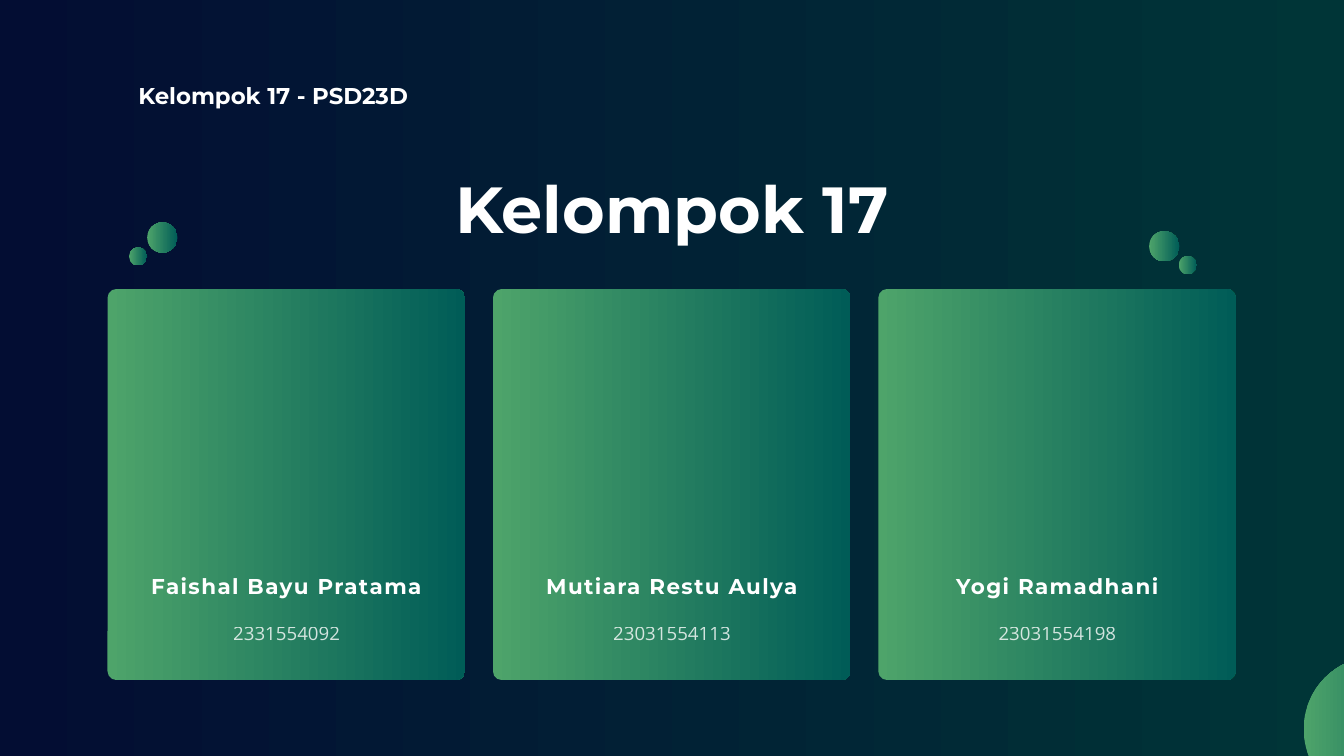
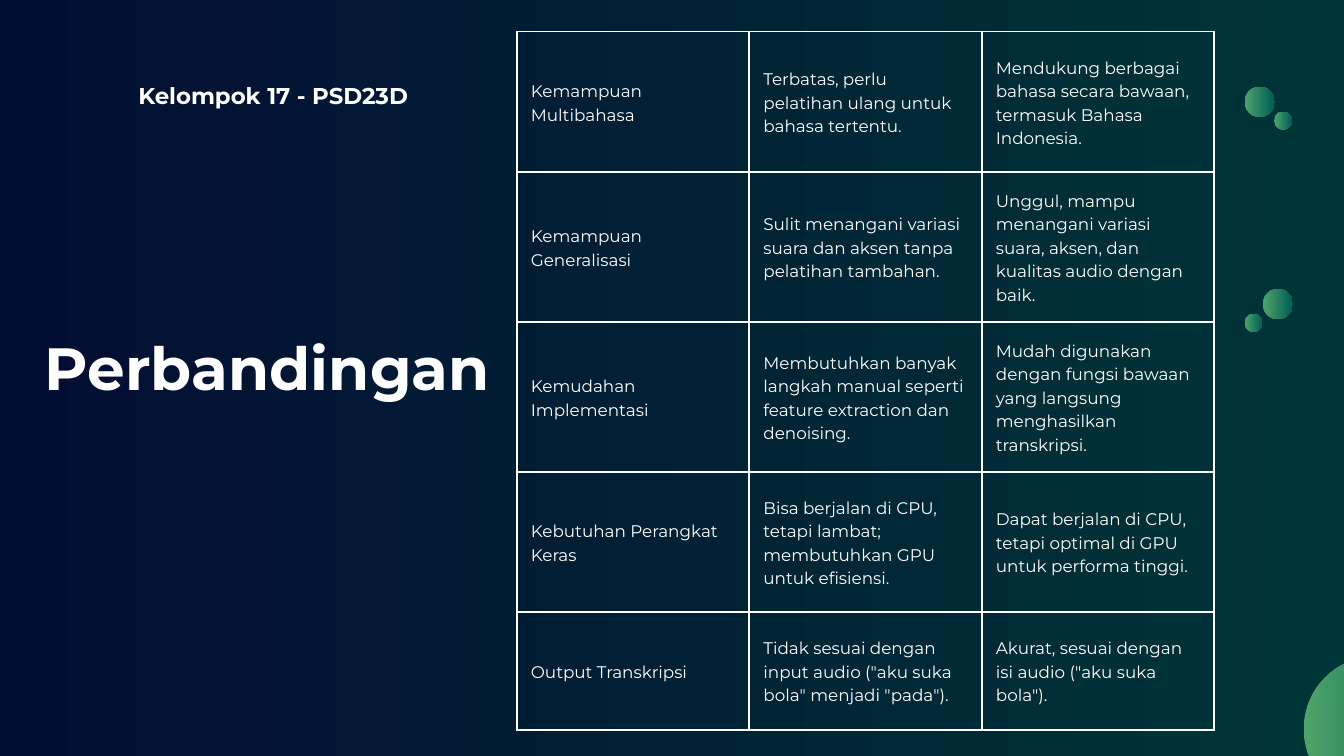
from lxml.etree import SubElement as Sub
from pptx import Presentation
from pptx.dml.color import RGBColor
from pptx.enum.shapes import MSO_SHAPE as Shape
from pptx.enum.text import MSO_ANCHOR as Anchor, MSO_AUTO_SIZE as Auto, PP_ALIGN as Align
from pptx.oxml.ns import qn
from pptx.util import Inches, Pt

WHITE = "FFFFFF"
BACK = ("030D33", "003537")
GREEN = ("4EA46A", "005C57")
HEAD = "Montserrat"
BODY = "Open Sans"

CARDS = [
    ("Faishal Bayu Pratama", "2331554092"),
    ("Mutiara Restu Aulya", "23031554113"),
    ("Yogi Ramadhani", "23031554198"),
]
CARD_W, CARD_H, CARD_STEP = 5.32, 5.82, 5.735

ROWS = [
    (2.09, "Kemampuan Multibahasa",
     "Terbatas, perlu pelatihan ulang untuk bahasa tertentu.",
     "Mendukung berbagai bahasa secara bawaan, termasuk Bahasa Indonesia."),
    (2.23, "Kemampuan Generalisasi",
     "Sulit menangani variasi suara dan aksen tanpa pelatihan tambahan.",
     "Unggul, mampu menangani variasi suara, aksen, dan kualitas audio dengan baik."),
    (2.23, "Kemudahan Implementasi",
     "Membutuhkan banyak langkah manual seperti feature extraction dan denoising.",
     "Mudah digunakan dengan fungsi bawaan yang langsung menghasilkan transkripsi."),
    (2.09, "Kebutuhan Perangkat Keras",
     "Bisa berjalan di CPU, tetapi lambat; membutuhkan GPU untuk efisiensi.",
     "Dapat berjalan di CPU, tetapi optimal di GPU untuk performa tinggi."),
    (1.75, "Output Transkripsi",
     'Tidak sesuai dengan input audio ("aku suka bola" menjadi "pada").',
     'Akurat, sesuai dengan isi audio ("aku suka bola").'),
]


def color(code):
    return RGBColor.from_string(code)


def blend(fill, pair):
    fill.gradient()
    fill.gradient_angle = 0
    for stop, code in zip(fill.gradient_stops, pair):
        stop.color.rgb = color(code)


def write(frame, text, size, lead, font=HEAD, bold=False, align=Align.LEFT,
          track=0, alpha=100):
    para = frame.paragraphs[0]
    para.alignment = align
    para.line_spacing = Pt(lead)
    run = para.add_run()
    run.text = text
    run.font.name = font
    run.font.size = Pt(size)
    run.font.bold = bold
    run.font.color.rgb = color(WHITE)
    props = run._r.get_or_add_rPr()
    if track:
        props.set("spc", str(int(track * 100)))
    if alpha < 100:
        tint = props.find(".//" + qn("a:srgbClr"))
        Sub(tint, qn("a:alpha")).set("val", str(alpha * 1000))


def fit(box):
    frame = box.text_frame
    frame.word_wrap = True
    frame.auto_size = Auto.NONE
    frame.vertical_anchor = Anchor.TOP
    frame.margin_left = frame.margin_right = 0
    frame.margin_top = frame.margin_bottom = 0
    return frame


def add_text(slide, x, y, w, h, text, size, lead, **style):
    box = slide.shapes.add_textbox(Inches(x), Inches(y), Inches(w), Inches(h))
    write(fit(box), text, size, lead, **style)


def add_title(slide, x, y, w, h, text, size, lead):
    box = slide.shapes.title
    box.left, box.top = Inches(x), Inches(y)
    box.width, box.height = Inches(w), Inches(h)
    write(fit(box), text, size, lead, bold=True, align=Align.CENTER)


def add_form(slide, kind, x, y, w, h):
    form = slide.shapes.add_shape(kind, Inches(x), Inches(y), Inches(w), Inches(h))
    form.shadow.inherit = False
    form.line.fill.background()
    blend(form.fill, GREEN)
    return form


def add_dots(slide, x, y, shift):
    add_form(slide, Shape.OVAL, x + shift, y + 0.37, 0.27, 0.27)
    add_form(slide, Shape.OVAL, x, y, 0.45, 0.45)


def add_card(slide, x, name, number):
    card = add_form(slide, Shape.ROUNDED_RECTANGLE, x, 4.3, CARD_W, CARD_H)
    card.adjustments[0] = 0.025
    add_text(slide, x + 0.19, 8.46, 4.95, 0.43, name, 23, 32.2,
             bold=True, align=Align.CENTER, track=1.5)
    add_text(slide, x + 0.59, 9.12, 4.15, 0.44, number, 20, 34,
             font=BODY, align=Align.CENTER, alpha=80)


def add_edges(cell):
    props = cell._tc.get_or_add_tcPr()
    for side in ("lnL", "lnR", "lnT", "lnB"):
        line = Sub(props, qn("a:" + side), w=str(Pt(2.25)))
        fill = Sub(line, qn("a:solidFill"))
        Sub(fill, qn("a:srgbClr"), val=WHITE)


def add_grid(slide, x, y, width):
    high = sum(row[0] for row in ROWS)
    grid = slide.shapes.add_table(len(ROWS), 3, Inches(x), Inches(y),
                                  Inches(3 * width), Inches(high)).table
    grid.first_row = grid.horz_banding = False
    for col in grid.columns:
        col.width = Inches(width)
    for row, (tall, *texts) in zip(grid.rows, ROWS):
        row.height = Inches(tall)
        for cell, text in zip(row.cells, texts):
            cell.margin_left = cell.margin_right = Inches(0.21)
            cell.margin_top = cell.margin_bottom = Inches(0.21)
            cell.vertical_anchor = Anchor.MIDDLE
            add_edges(cell)
            cell.fill.background()
            write(cell.text_frame, text, 18, 25.2)


def add_page(deck):
    slide = deck.slides.add_slide(deck.slide_layouts[5])
    blend(slide.background.fill, BACK)
    add_form(slide, Shape.OVAL, 19.4, 9.77, 2.16, 2.16)
    add_text(slide, 2.06, 1.15, 4.28, 0.45, "Kelompok 17 - PSD23D", 24.5, 34.4,
             bold=True)
    return slide


def add_team(deck):
    slide = add_page(deck)
    add_title(slide, 3.11, 2.51, 13.78, 1.16, "Kelompok 17", 69.8, 83.8)
    add_dots(slide, 2.19, 3.31, -0.27)
    add_dots(slide, 17.1, 3.44, 0.44)
    for i, (name, number) in enumerate(CARDS):
        add_card(slide, 1.6 + i * CARD_STEP, name, number)


def add_match(deck):
    slide = add_page(deck)
    add_title(slide, 0.38, 4.93, 7.2, 1.06, "Perbandingan", 63.8, 76.6)
    add_dots(slide, 18.79, 4.3, -0.27)
    add_dots(slide, 18.52, 1.29, 0.44)
    add_grid(slide, 7.69, 0.47, 3.46)


def main():
    deck = Presentation()
    deck.slide_width, deck.slide_height = Inches(20), Inches(11.25)
    add_team(deck)
    add_match(deck)
    deck.save("out.pptx")


if __name__ == "__main__":
    main()
